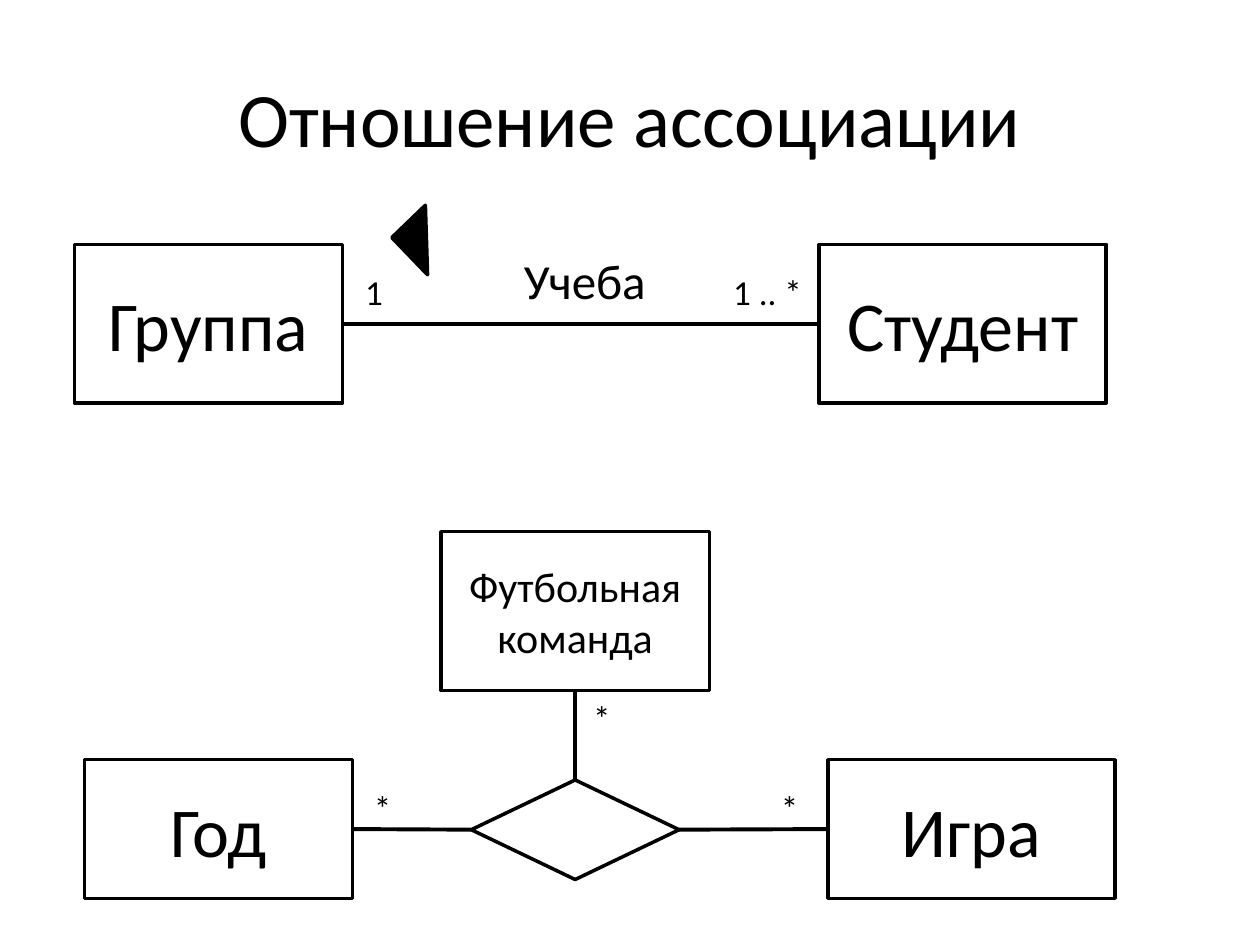
from dataclasses import dataclass

from lxml.etree import SubElement
from pptx import Presentation
from pptx.dml.color import RGBColor
from pptx.enum.shapes import MSO_CONNECTOR, MSO_SHAPE
from pptx.enum.text import MSO_ANCHOR, MSO_AUTO_SIZE, PP_ALIGN
from pptx.oxml.ns import qn
from pptx.shapes.autoshape import Shape
from pptx.slide import Slide
from pptx.util import Inches, Pt


@dataclass(frozen=True)
class Theme:
    ink: RGBColor = RGBColor(0, 0, 0)
    font: str = "Calibri"
    title: int = 44
    entity: int = 40
    team: int = 24
    role: int = 28
    mark: int = 20
    outline: float = 2
    link: float = 2.25


@dataclass(frozen=True)
class Grid:
    width: float = 10
    height: float = 7.5
    cols: int = 100
    rows: int = 75

    def x(self, col: float) -> int:
        return Inches(self.width * col / self.cols)

    def y(self, row: float) -> int:
        return Inches(self.height * row / self.rows)


@dataclass(frozen=True)
class Box:
    col: float
    row: float
    cols: float
    rows: float


@dataclass(frozen=True)
class Node:
    name: str
    box: Box
    text: str = ""
    size: int = 40
    kind: MSO_SHAPE = MSO_SHAPE.RECTANGLE
    filled: bool = False
    rotation: float = 0


@dataclass(frozen=True)
class Link:
    start: str
    start_site: int
    end: str
    end_site: int


@dataclass(frozen=True)
class Label:
    text: str
    box: Box
    size: int = 20


THEME = Theme()
GRID = Grid()
TOP, LEFT, BOTTOM, RIGHT = range(4)

NODES = [
    Node("group", Box(5.9, 19.4, 21.3, 12.6), "Группа", THEME.entity),
    Node("student", Box(65, 19.4, 22.8, 12.6), "Студент", THEME.entity),
    Node("direction", Box(31.8, 17.2, 4.1, 3.7), kind=MSO_SHAPE.RIGHT_TRIANGLE,
         filled=True, rotation=46.1),
    Node("year", Box(6.7, 60.3, 21.3, 11), "Год", THEME.entity),
    Node("game", Box(65.7, 60.3, 22.8, 11), "Игра", THEME.entity),
    Node("team", Box(35, 42.2, 21.3, 12.6), "Футбольная команда", THEME.team),
    Node("hub", Box(37.4, 61.9, 16.5, 7.9), kind=MSO_SHAPE.FLOWCHART_DECISION),
]

LINKS = [
    Link("group", RIGHT, "student", LEFT),
    Link("team", BOTTOM, "hub", TOP),
    Link("game", LEFT, "hub", RIGHT),
    Link("year", RIGHT, "hub", LEFT),
]

LABELS = [
    Label("1", Box(28, 21, 3.4, 4.4), THEME.mark),
    Label("1 .. *", Box(57.2, 21, 7.5, 4.4), THEME.mark),
    Label("Учеба", Box(40.6, 19.4, 11.8, 5.7), THEME.role),
    Label("*", Box(46.1, 54.8, 3.4, 4.4), THEME.mark),
    Label("*", Box(61, 61.9, 3.4, 4.4), THEME.mark),
    Label("*", Box(28.7, 61.9, 3.4, 4.4), THEME.mark),
]


def place(box: Box) -> tuple[int, int, int, int]:
    return GRID.x(box.col), GRID.y(box.row), GRID.x(box.cols), GRID.y(box.rows)


def write(sp: Shape, text: str, *, size: int, align: PP_ALIGN = PP_ALIGN.CENTER,
          anchor: MSO_ANCHOR = MSO_ANCHOR.MIDDLE, wrap: bool = True) -> None:
    tf = sp.text_frame
    tf.word_wrap = wrap
    tf.auto_size = MSO_AUTO_SIZE.NONE if wrap else MSO_AUTO_SIZE.SHAPE_TO_FIT_TEXT
    tf.vertical_anchor = anchor
    p = tf.paragraphs[0]
    p.alignment = align
    r = p.add_run()
    r.text = text
    r.font.name = THEME.font
    r.font.size = Pt(size)
    r.font.color.rgb = THEME.ink


def draw_node(s: Slide, node: Node) -> Shape:
    sp = s.shapes.add_shape(node.kind, *place(node.box))
    sp.shadow.inherit = False
    sp.rotation = node.rotation
    sp.line.color.rgb = THEME.ink
    sp.line.width = Pt(THEME.outline)
    if node.filled:
        sp.fill.solid()
        sp.fill.fore_color.rgb = THEME.ink
    else:
        sp.fill.background()
    if node.text:
        write(sp, node.text, size=node.size)
    return sp


def draw_link(s: Slide, link: Link, shapes: dict[str, Shape]) -> None:
    cx = s.shapes.add_connector(MSO_CONNECTOR.STRAIGHT, 0, 0, 0, 0)
    cx.begin_connect(shapes[link.start], link.start_site)
    cx.end_connect(shapes[link.end], link.end_site)
    cx.line.color.rgb = THEME.ink
    cx.line.width = Pt(THEME.link)
    SubElement(cx._element.spPr, qn("a:effectLst"))


def draw_label(s: Slide, label: Label) -> None:
    sp = s.shapes.add_textbox(*place(label.box))
    write(sp, label.text, size=label.size, align=PP_ALIGN.LEFT,
          anchor=MSO_ANCHOR.TOP, wrap=False)


def main() -> None:
    prs = Presentation()
    prs.slide_width = Inches(GRID.width)
    prs.slide_height = Inches(GRID.height)
    s = prs.slides.add_slide(prs.slide_layouts[6])
    title = s.shapes.add_textbox(*place(Box(5, 3, 90, 12.5)))
    write(title, "Отношение ассоциации", size=THEME.title)
    shapes = {node.name: draw_node(s, node) for node in NODES}
    for link in LINKS:
        draw_link(s, link, shapes)
    for label in LABELS:
        draw_label(s, label)
    prs.save("out.pptx")


if __name__ == "__main__":
    main()
